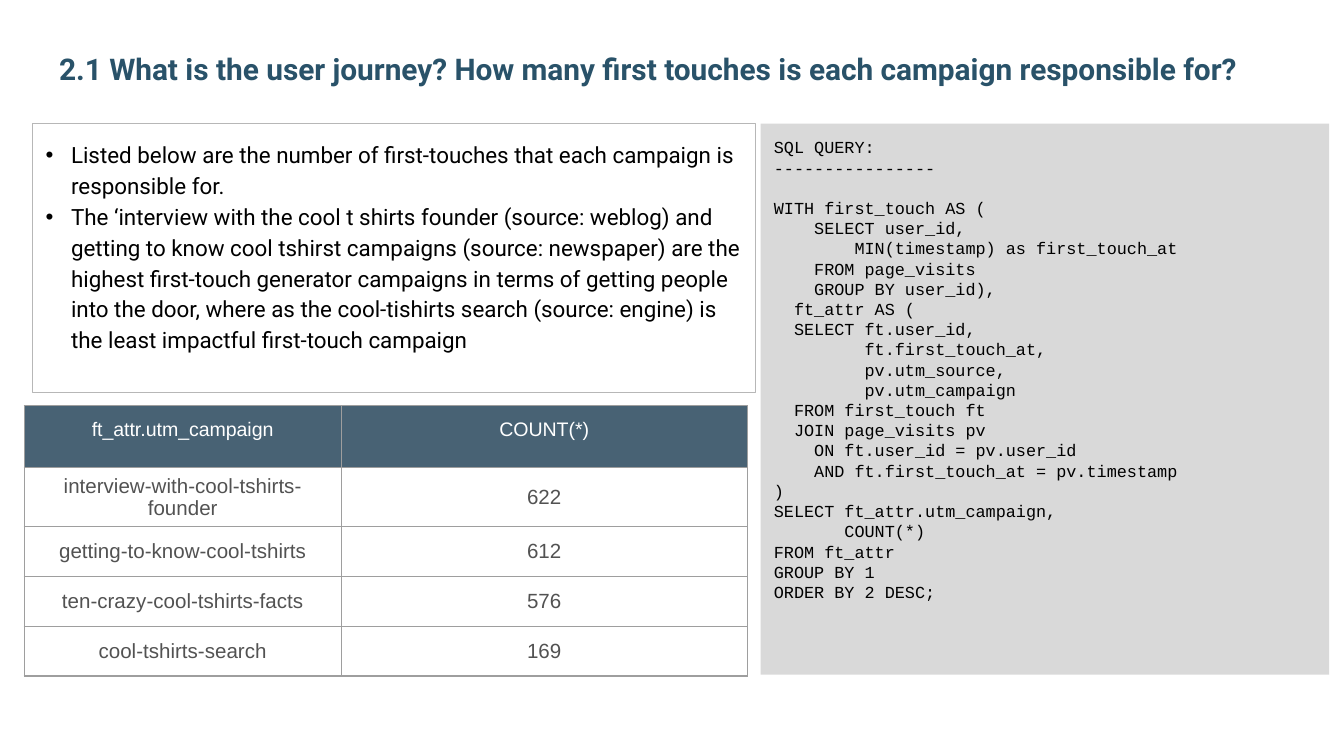
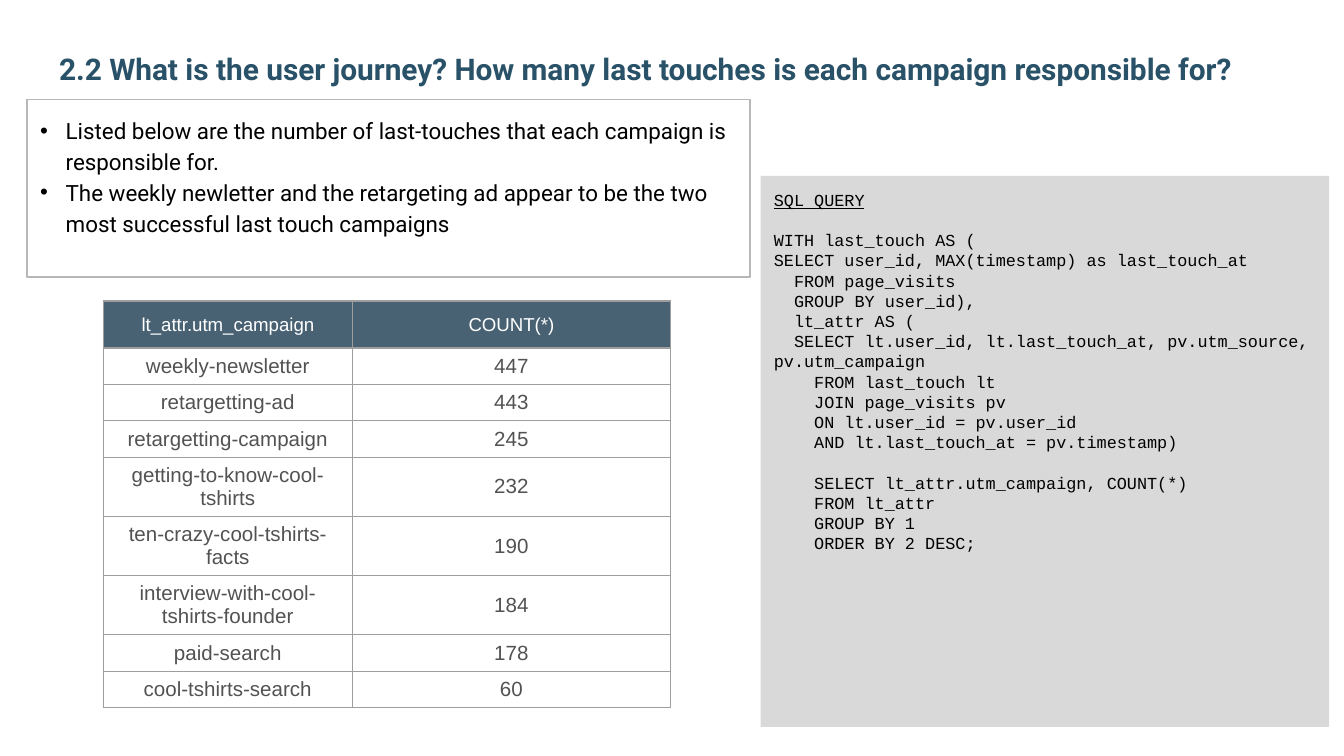
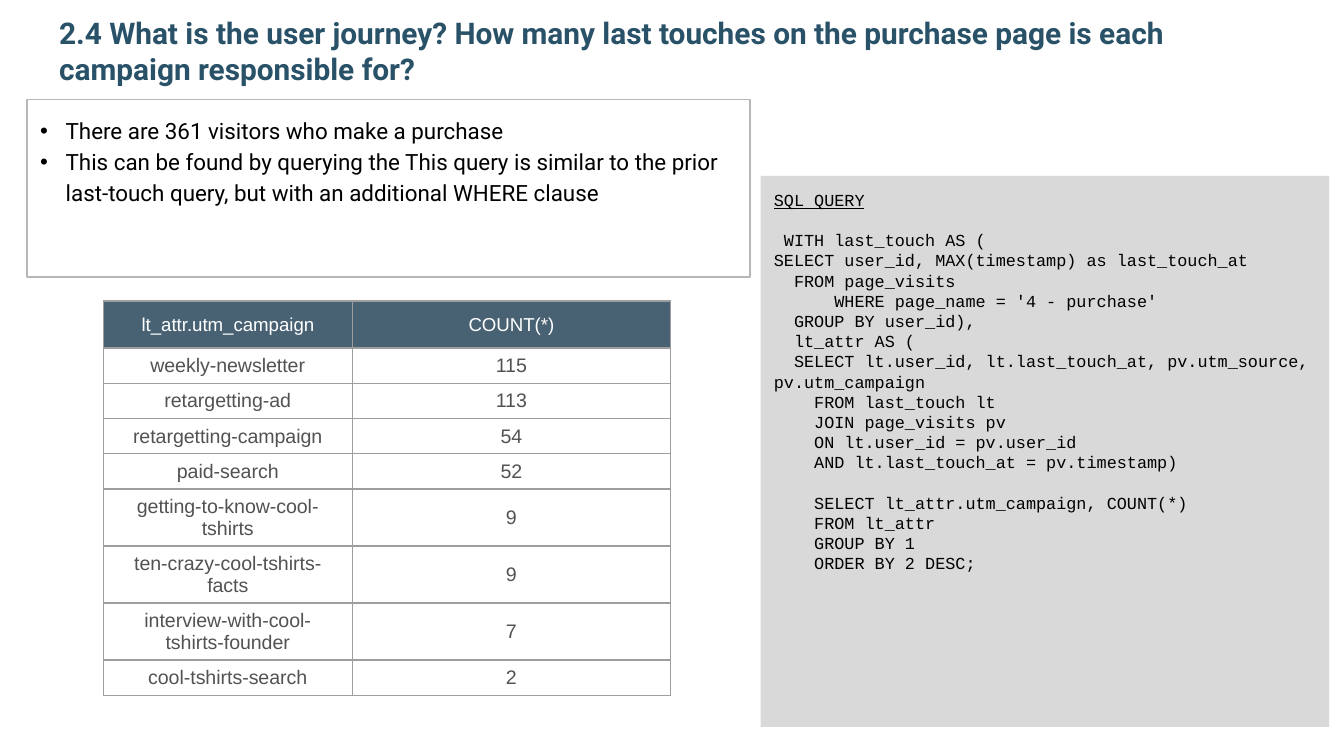
from lxml import etree
from pptx import Presentation
from pptx.dml.color import RGBColor
from pptx.enum.shapes import MSO_SHAPE
from pptx.enum.text import MSO_ANCHOR, MSO_AUTO_SIZE, PP_ALIGN
from pptx.oxml.ns import qn
from pptx.util import Inches, Pt

RECTANGLE = MSO_SHAPE.RECTANGLE
TOP, MIDDLE, BOTTOM = MSO_ANCHOR.TOP, MSO_ANCHOR.MIDDLE, MSO_ANCHOR.BOTTOM
LEFT, CENTER = PP_ALIGN.LEFT, PP_ALIGN.CENTER
NO_AUTOFIT = MSO_AUTO_SIZE.NONE
TITLE_ONLY = 5

FIRST_TOUCH_QUERY = """SQL QUERY:
----------------

WITH first_touch AS (
    SELECT user_id,
        MIN(timestamp) as first_touch_at
    FROM page_visits
    GROUP BY user_id),
  ft_attr AS (
  SELECT ft.user_id,
         ft.first_touch_at,
         pv.utm_source,
         pv.utm_campaign
  FROM first_touch ft
  JOIN page_visits pv
    ON ft.user_id = pv.user_id
    AND ft.first_touch_at = pv.timestamp
)
SELECT ft_attr.utm_campaign,
       COUNT(*)
FROM ft_attr
GROUP BY 1
ORDER BY 2 DESC;"""

LAST_TOUCH_QUERY = """SQL QUERY

WITH last_touch AS (
SELECT user_id, MAX(timestamp) as last_touch_at
  FROM page_visits
  GROUP BY user_id),
  lt_attr AS (
  SELECT lt.user_id, lt.last_touch_at, pv.utm_source, pv.utm_campaign
    FROM last_touch lt
    JOIN page_visits pv
    ON lt.user_id = pv.user_id
    AND lt.last_touch_at = pv.timestamp)

    SELECT lt_attr.utm_campaign, COUNT(*)
    FROM lt_attr
    GROUP BY 1
    ORDER BY 2 DESC;"""

PURCHASE_QUERY = LAST_TOUCH_QUERY.replace("WITH", " WITH").replace(
    "page_visits\n  GROUP",
    "page_visits\n      WHERE page_name = '4 - purchase'\n  GROUP")


def color(value):
    return RGBColor.from_string(value)


def add_element(parent, tag, **attributes):
    return etree.SubElement(parent, qn(tag), attributes)


class Deck:
    """Holds the shared style and the slide being filled."""
    TITLE_COLOR = "295269"
    TEXT_COLOR = "000000"
    CODE_FILL = "D9D9D9"
    BOX_LINE = "B7B7B7"
    HEADER_FILL = "204056"
    HEADER_TEXT = "FFFFFF"
    CELL_TEXT = "525252"
    CELL_LINE = "9E9E9E"
    TITLE_FONT, CODE_FONT, TABLE_FONT = "Roboto", "Courier New", "Arial"
    CODE_LINE = 10.8

    def __init__(self):
        self.presentation = Presentation()
        self.presentation.slide_width = Inches(10)
        self.presentation.slide_height = Inches(5.625)
        self.slide = None

    def set_font(self, paragraph, name, size, value, bold=False):
        font = paragraph.font
        font.name, font.size, font.bold = name, Pt(size), bold
        font.color.rgb = color(value)

    def set_frame(self, frame, anchor):
        frame.word_wrap = True
        frame.auto_size = NO_AUTOFIT
        frame.vertical_anchor = anchor
        frame.margin_left = frame.margin_right = Inches(0.1)
        frame.margin_top = frame.margin_bottom = Inches(0.1)

    def add_slide(self, title):
        layout = self.presentation.slide_layouts[TITLE_ONLY]
        self.slide = self.presentation.slides.add_slide(layout)
        shape = self.slide.shapes.title
        shape.left, shape.top = Inches(0.34), Inches(-0.18)
        shape.width, shape.height = Inches(9.32), Inches(0.92)
        self.set_frame(shape.text_frame, BOTTOM)
        paragraph = shape.text_frame.paragraphs[0]
        paragraph.text = title
        paragraph.alignment = LEFT
        self.set_font(paragraph, self.TITLE_FONT, 16, self.TITLE_COLOR, True)

    def add_box(self, left, top, width, height, fill=None, line=None):
        shape = self.slide.shapes.add_shape(
            RECTANGLE, Inches(left), Inches(top), Inches(width), Inches(height))
        shape.shadow.inherit = False
        if fill:
            shape.fill.solid()
            shape.fill.fore_color.rgb = color(fill)
        else:
            shape.fill.background()
        if line:
            shape.line.color.rgb = color(line)
            shape.line.width = Pt(0.75)
        else:
            shape.line.fill.background()
        self.set_frame(shape.text_frame, TOP)
        return shape.text_frame

    def add_paragraphs(self, frame, texts):
        """Yield one left-aligned paragraph for each text."""
        for index, text in enumerate(texts):
            paragraph = frame.paragraphs[0] if index == 0 else frame.add_paragraph()
            paragraph.text = text
            paragraph.alignment = LEFT
            yield paragraph

    def add_bullets(self, left, top, height, texts):
        frame = self.add_box(left, top, 5.38, height, line=self.BOX_LINE)
        for paragraph in self.add_paragraphs(frame, texts):
            paragraph.line_spacing = 1.15
            properties = paragraph._p.get_or_add_pPr()
            properties.set("marL", str(Inches(0.19)))
            properties.set("indent", str(Inches(-0.19)))
            bullet_color = add_element(properties, "a:buClr")
            add_element(bullet_color, "a:srgbClr", val=self.TEXT_COLOR)
            add_element(properties, "a:buFont", typeface="Arial")
            add_element(properties, "a:buChar", char="•")
            self.set_font(paragraph, self.TITLE_FONT, 12, self.TEXT_COLOR)

    def add_code(self, top, code, underline_heading=False):
        """Add the query panel; an empty code line becomes space before."""
        frame = self.add_box(5.66, top, 4.23, 4.1, fill=self.CODE_FILL)
        lines = code.split("\n")
        before = [""] + lines[:-1]
        gaps = [not previous for line, previous in zip(lines, before) if line]
        texts = [line for line in lines if line]
        for index, paragraph in enumerate(self.add_paragraphs(frame, texts)):
            if index and gaps[index]:
                paragraph.space_before = Pt(self.CODE_LINE)
            self.set_font(paragraph, self.CODE_FONT, 9, self.TEXT_COLOR)
            paragraph.font.underline = underline_heading and index == 0

    def style_cell(self, cell, text, size, is_header):
        cell.text = str(text)
        cell.vertical_anchor = MIDDLE
        paragraph = cell.text_frame.paragraphs[0]
        paragraph.alignment = CENTER
        self.set_font(paragraph, self.TABLE_FONT, size,
                      self.HEADER_TEXT if is_header else self.CELL_TEXT)
        properties = cell._tc.get_or_add_tcPr()
        for side in ("a:lnL", "a:lnR", "a:lnT", "a:lnB"):
            line = add_element(properties, side, w=str(Pt(0.75)))
            fill = add_element(line, "a:solidFill")
            add_element(fill, "a:srgbClr", val=self.CELL_LINE)
        if is_header:
            cell.fill.solid()
            cell.fill.fore_color.rgb = color(self.HEADER_FILL)
            header_color = next(properties.find(qn("a:solidFill")).iterchildren())
            add_element(header_color, "a:alpha", val="82000")
        else:
            cell.fill.background()

    def add_table(self, left, top, widths, heights, header, counts,
                  header_size=10, size=11):
        """Add a table; heights holds the header height and the body row height."""
        rows = [header] + counts
        row_heights = [heights[0]] + [heights[1]] * len(counts)
        table = self.slide.shapes.add_table(
            len(rows), len(widths), Inches(left), Inches(top),
            Inches(sum(widths)), Inches(sum(row_heights))).table
        table.first_row = table.horz_banding = False
        for column, width in zip(table.columns, widths):
            column.width = Inches(width)
        for index, (row, height) in enumerate(zip(table.rows, row_heights)):
            row.height = Inches(height)
            for cell, text in zip(row.cells, rows[index]):
                self.style_cell(cell, text, size if index else header_size, index == 0)
        return table

    def add_last_touch_slide(self, title, bullets, query, counts, size):
        self.add_slide(title)
        self.add_code(1.31, query, underline_heading=True)
        self.add_bullets(0.2, 0.74, 1.32, bullets)
        self.add_table(0.77, 2.24, (1.85, 2.37), (0.35, 0.26),
                       ("lt_attr.utm_campaign", "COUNT(*)"), counts, size=size)


def main():
    deck = Deck()

    deck.add_slide("2.1 What is the user journey? How many first touches is "
                   "each campaign responsible for?")
    deck.add_code(0.92, FIRST_TOUCH_QUERY)
    deck.add_bullets(0.24, 0.92, 2, [
        "Listed below are the number of first-touches that each campaign is "
        "responsible for.",
        "The ‘interview with the cool t shirts founder (source: weblog) and "
        "getting to know cool tshirst campaigns (source: newspaper) are the "
        "highest first-touch generator campaigns in terms of getting people "
        "into the door, where as the cool-tishirts search (source: engine) is "
        "the least impactful first-touch campaign",
    ])
    table = deck.add_table(
        0.18, 3.02, (2.36, 3.02), (0.46, 0.37),
        ("ft_attr.utm_campaign", "COUNT(*)"), [
            ("interview-with-cool-tshirts-founder", 622),
            ("getting-to-know-cool-tshirts", 612),
            ("ten-crazy-cool-tshirts-facts", 576),
            ("cool-tshirts-search", 169),
        ], header_size=10.5)
    for cell in table.rows[0].cells:
        cell.vertical_anchor = TOP
        cell.margin_top = cell.margin_bottom = Inches(0.1)

    deck.add_last_touch_slide(
        "2.2 What is the user journey? How many last touches is each campaign "
        "responsible for?",
        ["Listed below are the number of last-touches that each campaign is "
         "responsible for.",
         "The weekly newletter and the retargeting ad appear to be the two "
         "most successful last touch campaigns"],
        LAST_TOUCH_QUERY, [
            ("weekly-newsletter", 447),
            ("retargetting-ad", 443),
            ("retargetting-campaign", 245),
            ("getting-to-know-cool-tshirts", 232),
            ("ten-crazy-cool-tshirts-facts", 190),
            ("interview-with-cool-tshirts-founder", 184),
            ("paid-search", 178),
            ("cool-tshirts-search", 60),
        ], size=11)

    deck.add_last_touch_slide(
        "2.4 What is the user journey? How many last touches on the purchase "
        "page is each campaign responsible for?",
        ["There are 361 visitors who make a purchase",
         "This can be found by querying the This query is similar to the prior "
         "last-touch query, but with an additional WHERE clause"],
        PURCHASE_QUERY, [
            ("weekly-newsletter", 115),
            ("retargetting-ad", 113),
            ("retargetting-campaign", 54),
            ("paid-search", 52),
            ("getting-to-know-cool-tshirts", 9),
            ("ten-crazy-cool-tshirts-facts", 9),
            ("interview-with-cool-tshirts-founder", 7),
            ("cool-tshirts-search", 2),
        ], size=10.5)

    deck.presentation.save("out.pptx")


if __name__ == "__main__":
    main()
